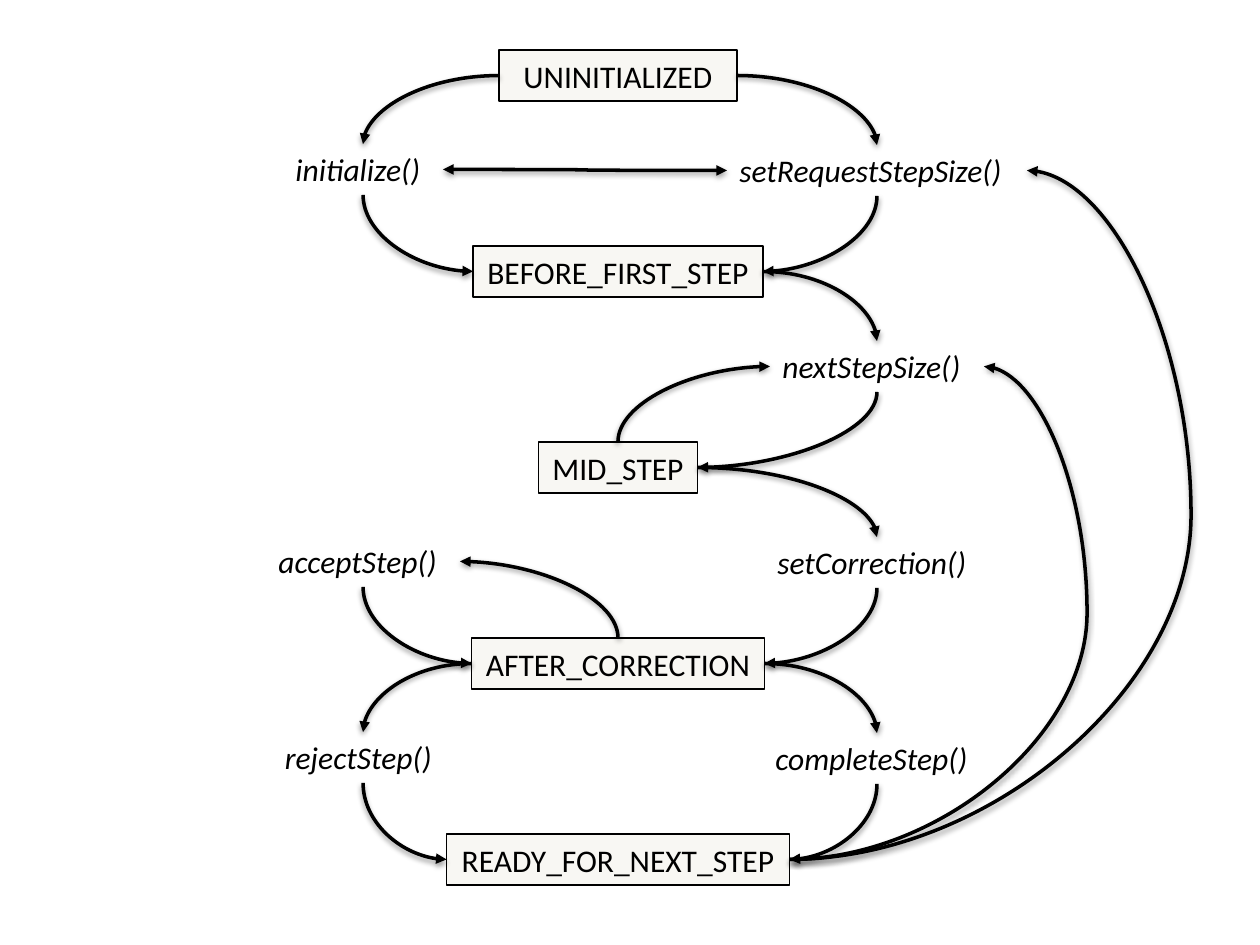
from lxml import etree
from pptx import Presentation
from pptx import util as u
from pptx.dml.color import RGBColor
from pptx.enum import shapes, text
from pptx.oxml import parse_xml
from pptx.oxml.ns import nsdecls, qn

BLACK = RGBColor(0x00, 0x00, 0x00)
BOX_FILL = RGBColor(0xF8, 0xF7, 0xF3)
FONT = "Calibri"

SCALE = u.Inches(1) // 126
CENTER_X, LEFT_X, RIGHT_X = 618, 363, 877
STATE_TOP, METHOD_TOP, ROW_STEP, HEIGHT = 50, 145, 196, 51

# Name, width; one state per row
STATES = [
    ("UNINITIALIZED", 238),
    ("BEFORE_FIRST_STEP", 290),
    ("MID_STEP", 159),
    ("AFTER_CORRECTION", 293),
    ("READY_FOR_NEXT_STEP", 343),
]
# Name, column centre, row, width
METHODS = [
    ("initialize()", LEFT_X, 0, 160),
    ("setRequestStepSize()", RIGHT_X, 0, 300),
    ("nextStepSize()", RIGHT_X, 1, 214),
    ("setCorrection()", RIGHT_X, 2, 224),
    ("acceptStep()", LEFT_X, 2, 194),
    ("completeStep()", RIGHT_X, 3, 228),
    ("rejectStep()", LEFT_X, 3, 181),
]
# Start, side, end, side
ARCS = [
    ("UNINITIALIZED", "left", "initialize()", "top"),
    ("UNINITIALIZED", "right", "setRequestStepSize()", "top"),
    ("initialize()", "bottom", "BEFORE_FIRST_STEP", "left"),
    ("setRequestStepSize()", "bottom", "BEFORE_FIRST_STEP", "right"),
    ("BEFORE_FIRST_STEP", "right", "nextStepSize()", "top"),
    ("nextStepSize()", "bottom", "MID_STEP", "right"),
    ("MID_STEP", "top", "nextStepSize()", "left"),
    ("MID_STEP", "right", "setCorrection()", "top"),
    ("setCorrection()", "bottom", "AFTER_CORRECTION", "right"),
    ("AFTER_CORRECTION", "top", "acceptStep()", "right"),
    ("acceptStep()", "bottom", "AFTER_CORRECTION", "left"),
    ("AFTER_CORRECTION", "left", "rejectStep()", "top"),
    ("AFTER_CORRECTION", "right", "completeStep()", "top"),
    ("rejectStep()", "bottom", "READY_FOR_NEXT_STEP", "left"),
    ("completeStep()", "bottom", "READY_FOR_NEXT_STEP", "right"),
]
# Method reached from the last state, x of the outermost point
LOOPS = [("setRequestStepSize()", 1191), ("nextStepSize()", 1087)]


def px(value):
    return u.Emu(round(value * SCALE))


def frame(center_x, top, width):
    return px(center_x - width / 2), px(top), px(width), px(HEIGHT)


def write(shape, words, alignment, italic=False, wrap=False):
    text_frame = shape.text_frame
    text_frame.text = words
    text_frame.word_wrap = wrap
    text_frame.auto_size = text.MSO_AUTO_SIZE.SHAPE_TO_FIT_TEXT
    paragraph = text_frame.paragraphs[0]
    paragraph.alignment = alignment
    font = paragraph.font
    font.name, font.size, font.italic = FONT, u.Pt(18), italic
    font.color.rgb = BLACK


def add_state(slide, name, row, width):
    shape = slide.shapes.add_shape(
        shapes.MSO_SHAPE.RECTANGLE,
        *frame(CENTER_X, STATE_TOP + row * ROW_STEP, width))
    shape.shadow.inherit = False
    shape.fill.solid()
    shape.fill.fore_color.rgb = BOX_FILL
    shape.line.color.rgb = BLACK
    shape.line.width = u.Pt(0.75)
    write(shape, name, text.PP_ALIGN.CENTER)
    return shape


def add_method(slide, name, center_x, row, width):
    top = METHOD_TOP + row * ROW_STEP - (center_x == LEFT_X)
    shape = slide.shapes.add_textbox(*frame(center_x, top, width))
    write(shape, name, text.PP_ALIGN.LEFT, italic=True)
    return shape


def anchor(shape, side):
    across = {"left": 0, "right": 2}.get(side, 1)
    down = {"top": 0, "bottom": 2}.get(side, 1)
    return (shape.left + across * shape.width // 2,
            shape.top + down * shape.height // 2)


def add_curve(slide, start, end):
    """Add a styled curve that leaves its start horizontally."""
    connector = slide.shapes.add_connector(
        shapes.MSO_CONNECTOR.CURVE, *start, *end)
    connector.line.color.rgb = BLACK
    connector.line.width = u.Pt(2)
    add_arrowhead(connector, "tailEnd")
    connector._element.spPr.append(parse_xml(
        f'<a:effectLst {nsdecls("a")}>'
        '<a:outerShdw blurRad="40000" dist="20000" dir="5400000" rotWithShape="0">'
        '<a:srgbClr val="000000"><a:alpha val="38000"/></a:srgbClr>'
        '</a:outerShdw></a:effectLst>'))
    return connector


def add_arrowhead(connector, end):
    line = connector.line._get_or_add_ln()
    head = parse_xml(f'<a:{end} {nsdecls("a")} type="triangle"/>')
    tail = line.find(qn("a:tailEnd"))
    if tail is None:
        line.append(head)
    else:
        tail.addprevious(head)


def add_arc(slide, start, end, vertical_first):
    """Add a quarter curve; one that starts vertically is a turned box."""
    connector = add_curve(slide, start, end)
    properties = connector._element.spPr
    properties.find(qn("a:prstGeom")).set("prst", "curvedConnector2")
    dx, dy = end[0] - start[0], end[1] - start[1]
    transform = properties.find(qn("a:xfrm"))
    if vertical_first:
        middle_x, middle_y = (start[0] + end[0]) // 2, (start[1] + end[1]) // 2
        connector.width, connector.height = abs(dy), abs(dx)
        connector.left = middle_x - abs(dy) // 2
        connector.top = middle_y - abs(dx) // 2
        quarter_turns = 1 if dx * dy < 0 else 3
        flip_h, flip_v = dx > 0 and (dy > 0 or quarter_turns == 1), dy < 0
    else:
        quarter_turns = 2 if dx < 0 else 0
        flip_h, flip_v = False, dx < 0
    transform.set("rot", str(quarter_turns * 5400000))
    transform.set("flipH", str(int(flip_h)))
    transform.set("flipV", str(int(flip_v)))


def add_loop(slide, start, end, outer_x):
    connector = add_curve(slide, start, end)
    bend = round((px(outer_x) - start[0]) / (end[0] - start[0]) * 100000)
    geometry = connector._element.spPr.find(qn("a:prstGeom"))
    guides = geometry.find(qn("a:avLst"))
    if guides is None:
        guides = etree.SubElement(geometry, qn("a:avLst"))
    etree.SubElement(guides, qn("a:gd"), name="adj1", fmla=f"val {bend}")


def main():
    presentation = Presentation()
    presentation.slide_width, presentation.slide_height = u.Inches(10), u.Inches(7.5)
    slide = presentation.slides.add_slide(presentation.slide_layouts[6])

    # States and methods
    nodes = {}
    for row, (name, width) in enumerate(STATES):
        nodes[name] = add_state(slide, name, row, width)
    for name, center_x, row, width in METHODS:
        nodes[name] = add_method(slide, name, center_x, row, width)

    # Transitions
    for source, source_side, target, target_side in ARCS:
        add_arc(slide, anchor(nodes[source], source_side),
                anchor(nodes[target], target_side),
                source_side in ("top", "bottom"))

    # Either order of the first two methods
    exchange = add_curve(slide, anchor(nodes["initialize()"], "right"),
                         anchor(nodes["setRequestStepSize()"], "left"))
    add_arrowhead(exchange, "headEnd")

    # Loops back to an earlier method
    for target, outer_x in LOOPS:
        add_loop(slide, anchor(nodes["READY_FOR_NEXT_STEP"], "right"),
                 anchor(nodes[target], "right"), outer_x)

    presentation.save("out.pptx")


main()
